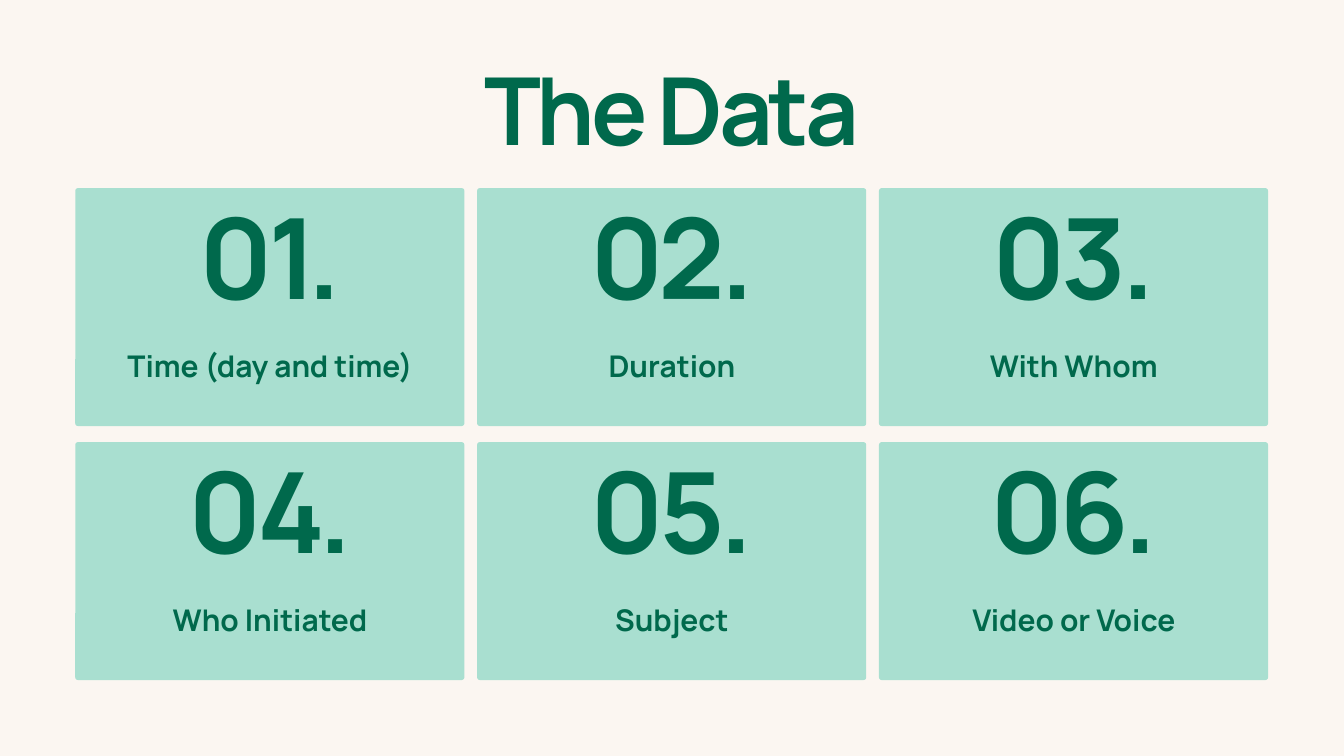
from pptx import Presentation
from pptx import util as u
from pptx.dml.color import RGBColor
from pptx.enum import shapes, text

COLORS = {"background": "FBF6F1", "card": "A9DFD0", "ink": "00694C"}
FIELDS = [
    "Time (day and time)", "Duration", "With Whom",
    "Who Initiated", "Subject", "Video or Voice",
]
COLUMNS = 3
LEFT, TOP = 1.12, 2.8
CARD_W, CARD_H = 5.79, 3.54
PITCH_X, PITCH_Y = 5.98, 3.78
CORNER = 0.04


class Deck:
    font = "Manrope"

    def __init__(self, width, height):
        self.prs = Presentation()
        self.prs.slide_width = u.Inches(width)
        self.prs.slide_height = u.Inches(height)
        self.slide = None

    def color(self, key):
        return RGBColor.from_string(COLORS[key])

    def add_slide(self):
        self.slide = self.prs.slides.add_slide(self.prs.slide_layouts[5])
        fill = self.slide.background.fill
        fill.solid()
        fill.fore_color.rgb = self.color("background")

    def set_words(self, frame, words, size, leading, spacing=0):
        frame.margin_left = frame.margin_right = 0
        frame.margin_top = frame.margin_bottom = 0
        frame.word_wrap = True
        frame.auto_size = text.MSO_AUTO_SIZE.NONE
        frame.vertical_anchor = text.MSO_ANCHOR.TOP
        paragraph = frame.paragraphs[0]
        paragraph.alignment = text.PP_ALIGN.CENTER
        paragraph.line_spacing = u.Pt(leading)
        run = paragraph.add_run()
        run.text = words
        run.font.name = self.font
        run.font.size = u.Pt(size)
        run.font.bold = True
        run.font.color.rgb = self.color("ink")
        if spacing:
            run._r.get_or_add_rPr().set("spc", str(round(spacing * 100)))

    def title(self, words, left, top, width, height):
        heading = self.slide.shapes.title
        heading.left, heading.top = u.Inches(left), u.Inches(top)
        heading.width, heading.height = u.Inches(width), u.Inches(height)
        self.set_words(heading.text_frame, words, 100.4, 90.4, -4.6)

    def label(self, words, left, top, width, height, size, leading, spacing=0):
        box = self.slide.shapes.add_textbox(
            u.Inches(left), u.Inches(top), u.Inches(width), u.Inches(height))
        self.set_words(box.text_frame, words, size, leading, spacing)

    def panel(self, left, top, width, height):
        card = self.slide.shapes.add_shape(
            shapes.MSO_SHAPE.ROUNDED_RECTANGLE,
            u.Inches(left), u.Inches(top), u.Inches(width), u.Inches(height))
        card.adjustments[0] = CORNER / min(width, height)
        card.shadow.inherit = False
        card.fill.solid()
        card.fill.fore_color.rgb = self.color("card")
        card.line.fill.background()


def main():
    deck = Deck(20, 11.25)
    deck.add_slide()
    deck.title("The Data", 2.42, 1.19, 15.15, 1.37)
    for index, field in enumerate(FIELDS):
        row, column = divmod(index, COLUMNS)
        left, top = LEFT + column * PITCH_X, TOP + row * PITCH_Y
        deck.panel(left, top, CARD_W, CARD_H)
        deck.label(f"{index + 1:02d}.", left + 1.58, top + 0.49, 2.65, 1.64, 120, 108, -5.5)
        deck.label(field, left + 0.66, top + 2.29, 4.48, 0.6, 32, 44.8)
    deck.prs.save("out.pptx")


if __name__ == "__main__":
    main()
